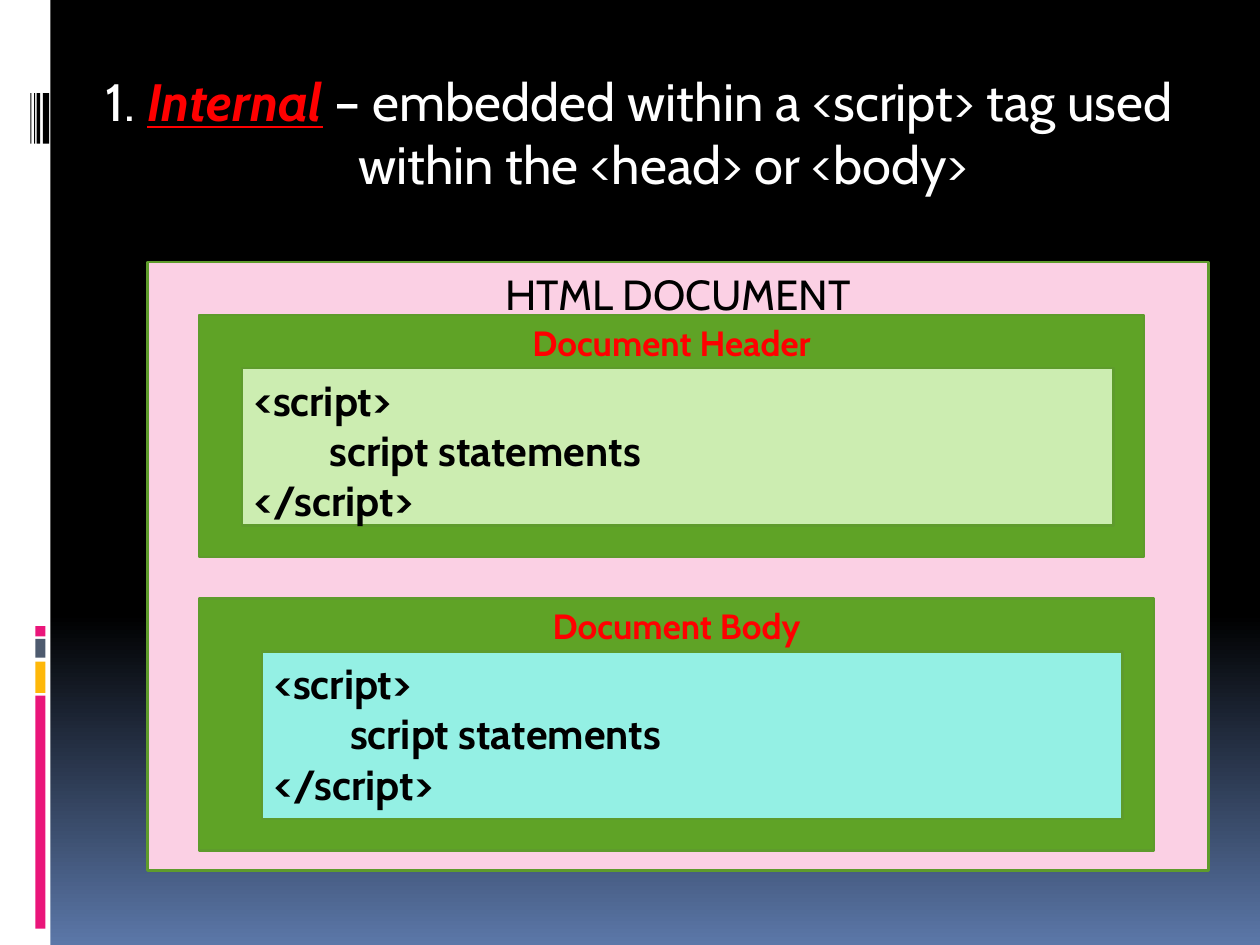
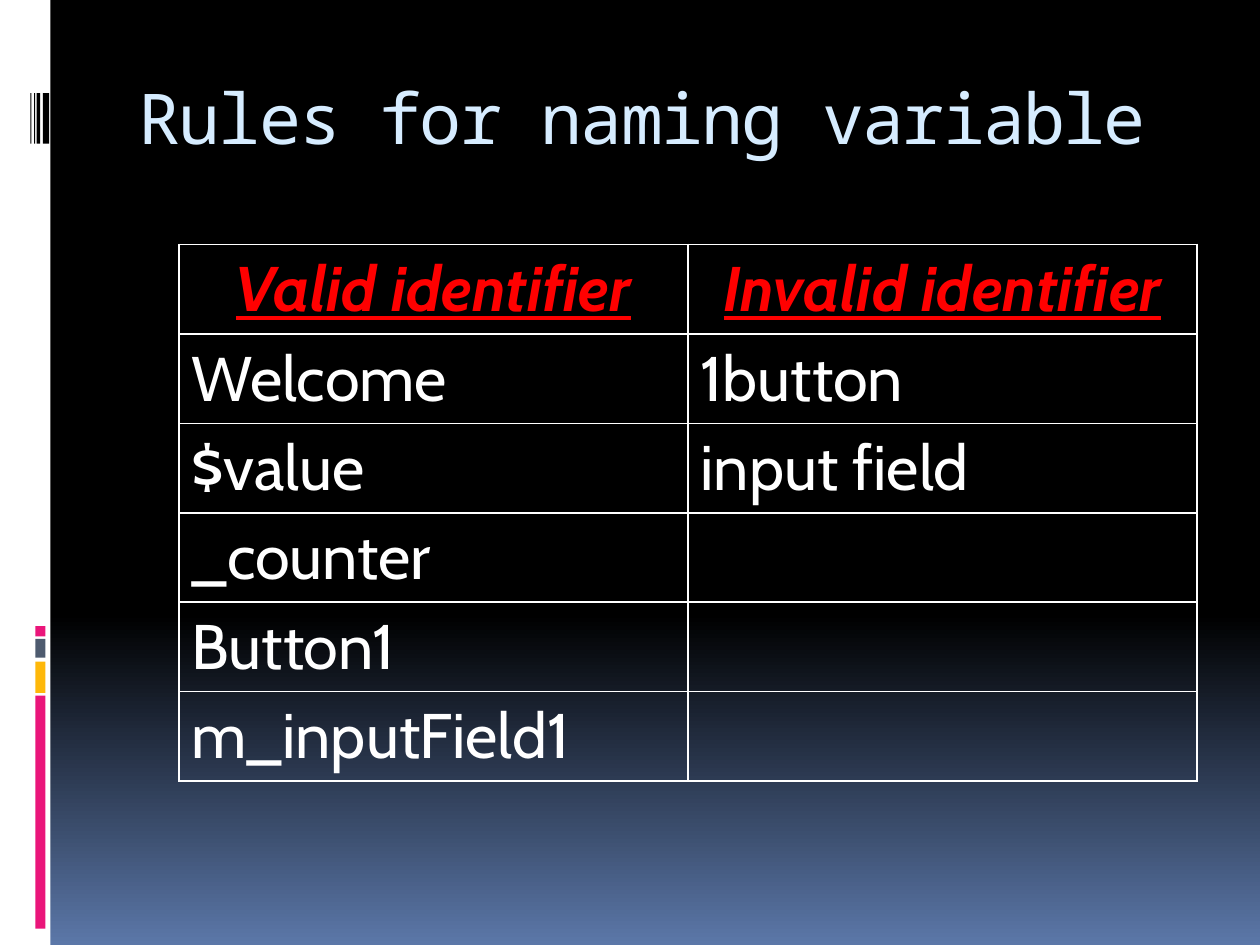
from dataclasses import dataclass

from lxml import etree
from pptx import Presentation
from pptx.dml.color import RGBColor
from pptx.enum.shapes import MSO_SHAPE
from pptx.enum.text import MSO_ANCHOR, PP_ALIGN
from pptx.oxml.ns import qn
from pptx.util import Inches, Pt

RECTANGLE = MSO_SHAPE.RECTANGLE
TOP = MSO_ANCHOR.TOP
LEFT, CENTER = PP_ALIGN.LEFT, PP_ALIGN.CENTER


@dataclass(frozen=True)
class Theme:
    """Colours, fonts and type sizes of the deck."""
    black: str = "000000"
    white: str = "FFFFFF"
    dusk: str = "5B77A8"
    pink: str = "EA157A"
    amber: str = "FEB80A"
    slate: str = "4E5B6F"
    red: str = "FF0000"
    title: str = "D6ECFF"
    page: str = "FBD0E4"
    section: str = "5FA326"
    outline: str = "5E9B2C"
    header_code: str = "CCEDB1"
    body_code: str = "94F0E4"
    text_font: str = "Cabin"
    title_font: str = "Noto Sans Mono"
    title_size: int = 40
    table_size: int = 36
    lead_size: int = 30
    code_size: int = 24
    label_size: int = 20


THEME = Theme()


def rgb(value):
    """Turn a hex string into a colour."""
    return RGBColor.from_string(value)


def write(paragraph, text, size, color=THEME.white, font=THEME.text_font,
          bold=False, italic=False, underline=False, align=LEFT, spacing=None):
    """Add one formatted run to a paragraph."""
    paragraph.alignment = align
    run = paragraph.add_run()
    run.text = text
    style = run.font
    style.name, style.size, style.color.rgb = font, Pt(size), rgb(color)
    style.bold, style.italic, style.underline = bold, italic, underline
    if spacing is not None:
        run.font._element.set("spc", str(int(spacing * 100)))


def indent(paragraph, margin, first_line=0):
    """Set the left margin and first-line indent of a paragraph in inches."""
    properties = paragraph._p.get_or_add_pPr()
    properties.set("marL", str(Inches(margin)))
    properties.set("indent", str(Inches(first_line)))


def add_panel(slide, box, fill, outline=None):
    """Add a flat rectangle and return its text frame."""
    panel = slide.shapes.add_shape(RECTANGLE, *map(Inches, box))
    panel.shadow.inherit = False
    panel.fill.solid()
    panel.fill.fore_color.rgb = rgb(fill)
    if outline:
        panel.line.color.rgb = rgb(outline)
        panel.line.width = Pt(1.5)
    else:
        panel.line.fill.background()
    frame = panel.text_frame
    frame.word_wrap, frame.vertical_anchor = True, TOP
    return frame


def add_text_box(slide, box):
    """Add a wrapping text box and return its first paragraph."""
    frame = slide.shapes.add_textbox(*map(Inches, box)).text_frame
    frame.word_wrap, frame.vertical_anchor = True, TOP
    return frame.paragraphs[0]


def add_side_band(slide, box):
    """Draw the white band with its colour blocks and bar marks."""
    left, top, _, _ = box
    add_panel(slide, box, THEME.white)
    blocks = [(5.52, 1.85, THEME.pink), (5.25, 0.25, THEME.amber),
              (5.07, 0.15, THEME.slate), (4.97, 0.08, THEME.pink)]
    for offset, height, color in blocks:
        add_panel(slide, (left + 0.28, top + offset, 0.08, height), color)
    for offset, width in [(0.34, 0.05), (0.29, 0.03), (0.27, 0.01), (0.24, 0.01)]:
        add_panel(slide, (left + offset, top + 0.74, width, 0.4), THEME.black)


def new_slide(deck):
    """Add a slide with the shared gradient and side band."""
    slide = deck.slides.add_slide(deck.slide_layouts[6])
    fill = slide.background.fill
    fill.gradient()
    fill.gradient_angle = 270
    stops = [(0.65, THEME.black), (1, THEME.dusk)]
    for stop, (position, color) in zip(fill.gradient_stops, stops):
        stop.position, stop.color.rgb = position, rgb(color)
    add_side_band(slide, (0, 0, 0.4, 7.5))
    return slide


def add_section(slide, box, label, code_inset, code_size, code_fill):
    """Draw a labelled document section holding a script block."""
    left, top, _, _ = box
    frame = add_panel(slide, box, THEME.section, THEME.outline)
    write(frame.paragraphs[0], label, THEME.label_size, color=THEME.red,
          bold=True, align=CENTER)
    code_box = (left + code_inset, top + 0.42, *code_size)
    code = add_panel(slide, code_box, code_fill, THEME.outline)
    lines = [("<script>", 0), ("script statements", 0.6), ("</script>", 0)]
    for number, (text, margin) in enumerate(lines):
        line = code.add_paragraph() if number else code.paragraphs[0]
        indent(line, margin)
        write(line, text, THEME.code_size, color=THEME.black, bold=True)


def add_html_document(slide, box):
    """Draw the HTML document with its header and body sections."""
    left, top, _, _ = box
    frame = add_panel(slide, box, THEME.page, THEME.outline)
    write(frame.paragraphs[0], "HTML DOCUMENT", THEME.code_size,
          color=THEME.black, align=CENTER)
    add_section(slide, (left + 0.41, top + 0.42, 7.5, 1.92), "Document Header",
                0.34, (6.92, 1.25), THEME.header_code)
    add_section(slide, (left + 0.41, top + 2.67, 7.58, 2), "Document Body",
                0.5, (6.83, 1.33), THEME.body_code)


def add_internal_slide(deck):
    """Build the slide on internal scripts."""
    slide = new_slide(deck)
    lead = add_text_box(slide, (0.58, 0.5, 8.92, 1.08))
    indent(lead, 0.45, -0.38)
    lead.space_before = Pt(7)
    write(lead, "1. ", THEME.lead_size, align=CENTER)
    write(lead, "Internal", THEME.lead_size, color=THEME.red, bold=True,
          italic=True, underline=True, align=CENTER)
    write(lead, " – embedded within a <script> tag used within the <head> or <body>",
          THEME.lead_size, align=CENTER)
    add_html_document(slide, (1.17, 2.08, 8.42, 4.83))


def border_cell(cell):
    """Give a cell thin white borders and no fill."""
    properties = cell._tc.get_or_add_tcPr()
    for side in ("a:lnL", "a:lnR", "a:lnT", "a:lnB"):
        line = etree.SubElement(properties, qn(side), w=str(Pt(1)))
        solid = etree.SubElement(line, qn("a:solidFill"))
        etree.SubElement(solid, qn("a:srgbClr"), val=THEME.white)
    cell.fill.background()


def add_identifier_table(slide, box):
    """Draw the table of valid and invalid identifiers."""
    rows = [("Valid identifier", "Invalid identifier"), ("Welcome", "1button"),
            ("$value", "input field"), ("_counter", ""), ("Button1", ""),
            ("m_inputField1", "")]
    table = slide.shapes.add_table(len(rows), 2, *map(Inches, box)).table
    table.first_row = table.horz_banding = False
    for row, identifiers in enumerate(rows):
        heading = row == 0
        for column, identifier in enumerate(identifiers):
            cell = table.cell(row, column)
            border_cell(cell)
            if identifier:
                write(cell.text_frame.paragraphs[0], identifier, THEME.table_size,
                      color=THEME.red if heading else THEME.white, bold=heading,
                      italic=heading, underline=heading,
                      align=CENTER if heading else LEFT)


def add_naming_slide(deck):
    """Build the slide on naming variables."""
    slide = new_slide(deck)
    title = add_text_box(slide, (1, 0.54, 8.5, 1))
    write(title, "Rules for naming variable", THEME.title_size, color=THEME.title,
          font=THEME.title_font, spacing=-1)
    add_identifier_table(slide, (1.42, 1.94, 8.08, 4.26))


def main():
    """Build and save the deck."""
    deck = Presentation()
    deck.slide_width, deck.slide_height = Inches(10), Inches(7.5)
    add_internal_slide(deck)
    add_naming_slide(deck)
    deck.save("out.pptx")


if __name__ == "__main__":
    main()
